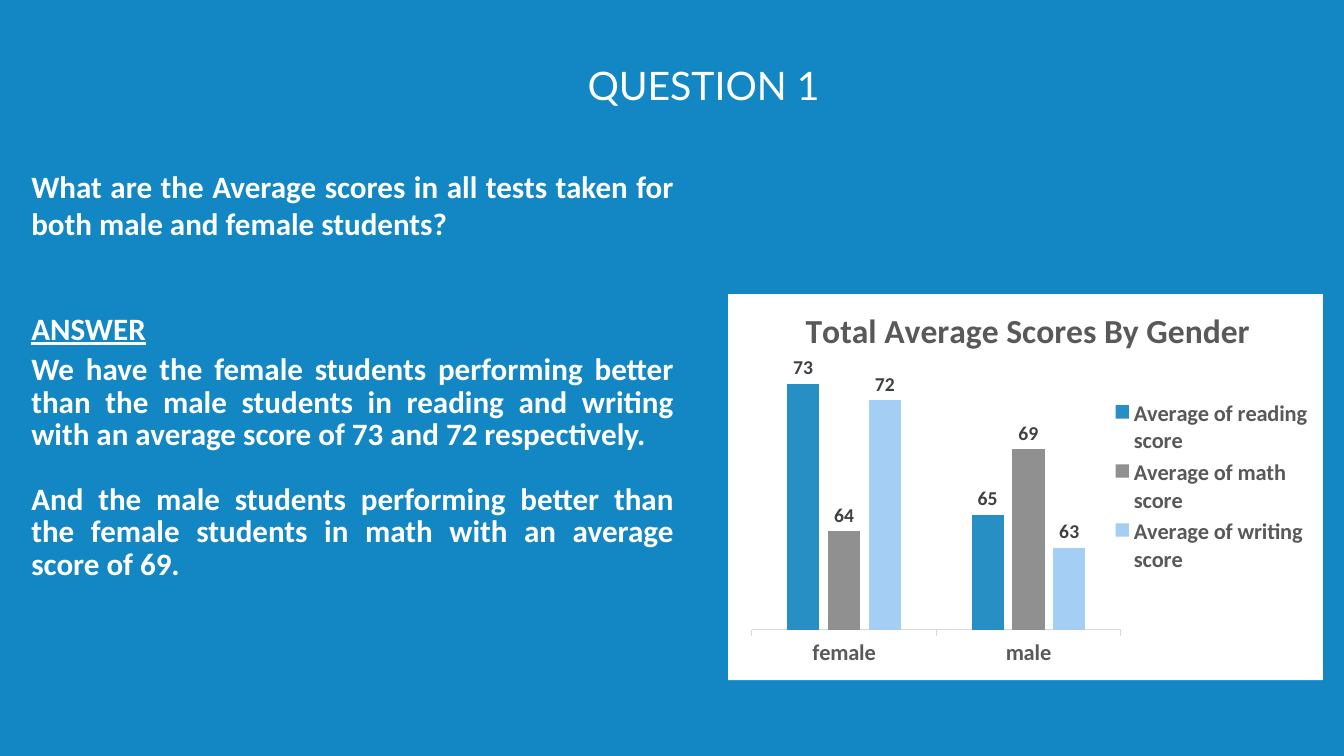
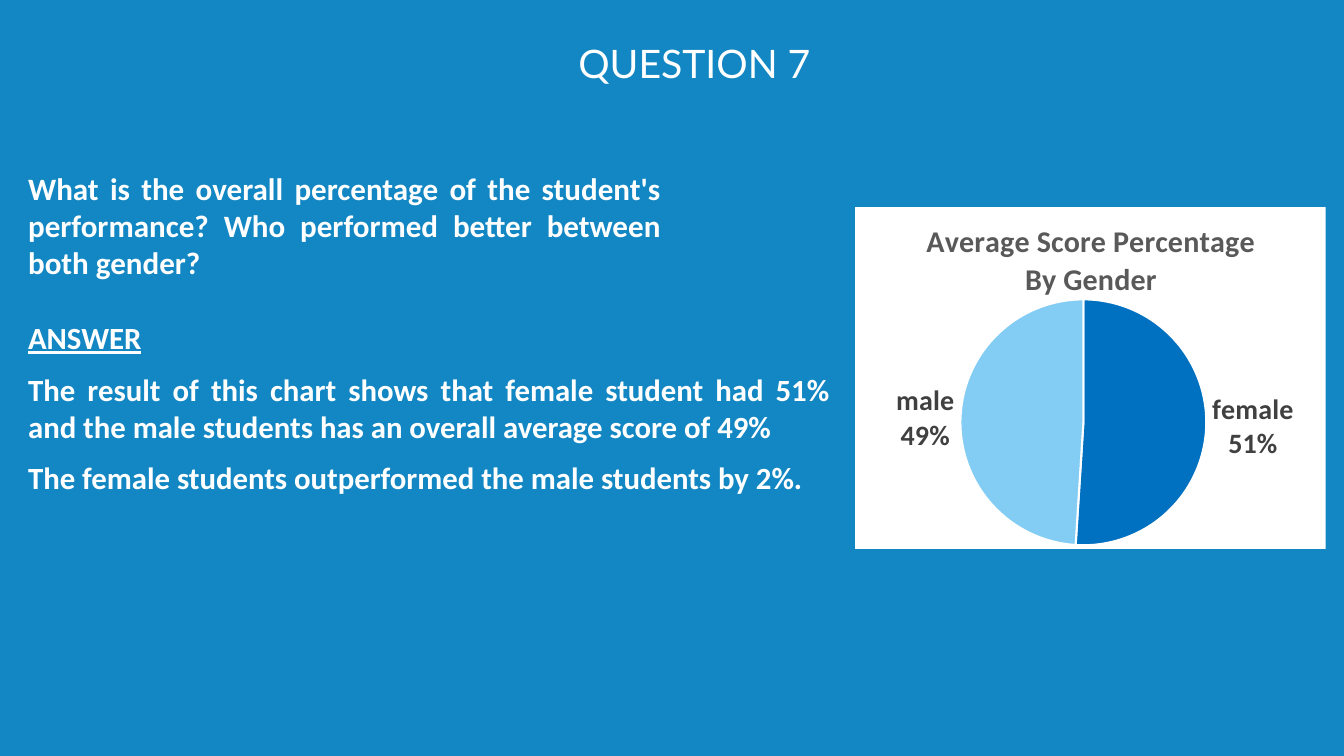
from dataclasses import dataclass

from lxml.etree import SubElement
from pptx import Presentation
from pptx.chart.data import CategoryChartData
from pptx.dml.color import RGBColor
from pptx.enum.chart import XL_CHART_TYPE as ChartType
from pptx.enum.chart import XL_LABEL_POSITION as LabelPos
from pptx.enum.chart import XL_LEGEND_POSITION as LegendPos
from pptx.enum.chart import XL_TICK_LABEL_POSITION as TickLabelPos
from pptx.enum.chart import XL_TICK_MARK as TickMark
from pptx.enum.text import MSO_ANCHOR as Anchor
from pptx.enum.text import PP_ALIGN as Align
from pptx.oxml.ns import qn
from pptx.util import Cm, Pt

COLORS = {
    "background": "1287C3",
    "white": "FFFFFF",
    "chart_text": "595959",
    "label": "404040",
    "axis": "D9D9D9",
    "reading": "288FC4",
    "math": "909090",
    "writing": "A4CEF3",
    "female": "0070C0",
    "male": "83CDF4",
}
TITLE_FONT, BODY_FONT = "Lato", "Calibri"
GENDERS = ("female", "male")


@dataclass
class Passage:
    text: str
    before: float = 0
    line_spacing: float = 1
    underline: bool = False


def rgb(name):
    return RGBColor.from_string(COLORS[name])


def paint(fill, name):
    fill.solid()
    fill.fore_color.rgb = rgb(name)


def set_font(font, size, color, bold=True, face=BODY_FONT):
    font.name, font.size, font.bold = face, Pt(size), bold
    font.color.rgb = rgb(color)


def add_text_frame(slide, box, anchor=Anchor.TOP):
    frame = slide.shapes.add_textbox(*map(Cm, box)).text_frame
    frame.word_wrap = True
    frame.vertical_anchor = anchor
    frame.margin_left = frame.margin_right = 0
    frame.margin_top = frame.margin_bottom = 0
    return frame


def add_question_slide(prs, title, left, top):
    slide = prs.slides.add_slide(prs.slide_layouts[6])
    paint(slide.background.fill, "background")
    heading = add_text_frame(slide, (left, top, 27.84, 1.68), Anchor.MIDDLE).paragraphs[0]
    heading.text = title
    heading.alignment = Align.CENTER
    set_font(heading.font, 28, "white", bold=False, face=TITLE_FONT)
    return slide


def add_passages(slide, box, size, passages):
    frame = add_text_frame(slide, box)
    for i, passage in enumerate(passages):
        paragraph = frame.add_paragraph() if i else frame.paragraphs[0]
        paragraph.text = passage.text
        paragraph.alignment = Align.JUSTIFY
        paragraph.space_before = Pt(passage.before)
        paragraph.line_spacing = passage.line_spacing
        set_font(paragraph.font, size, "white")
        paragraph.font.underline = passage.underline


def place_part(part, index, **fractions):
    """Fix a chart part's place, as fractions of the chart's size."""
    for old in part.findall(qn("c:layout")):
        part.remove(old)
    layout = SubElement(part, qn("c:layout"))
    part.insert(index, layout)
    manual = SubElement(layout, qn("c:manualLayout"))
    settings = {"xMode": "edge", "yMode": "edge", **fractions}
    if "w" in fractions:
        settings = {"layoutTarget": "inner", **settings}
    for tag, value in settings.items():
        SubElement(manual, qn(f"c:{tag}")).set("val", str(value))


def add_score_chart(slide, kind, box, title, title_size, title_at, plot_box, scores):
    """Add a titled chart on a white panel; scores maps series names to values."""
    data = CategoryChartData(number_format="0")
    data.categories = GENDERS
    for name, values in scores.items():
        data.add_series(name, values)
    chart = slide.shapes.add_chart(kind, *map(Cm, box), data).chart
    set_font(chart.font, 10, "chart_text")

    heading = chart.chart_title.text_frame.paragraphs[0]
    heading.text = title
    set_font(heading.font, title_size, "chart_text")
    place_part(chart.chart_title._element, 1, **dict(zip("xy", title_at)))

    space = chart._chartSpace
    chart_part = space.find(qn("c:chart"))
    place_part(chart_part.find(qn("c:plotArea")), 0, **dict(zip("xywh", plot_box)))
    panel = space.makeelement(qn("c:spPr"))
    chart_part.addnext(panel)
    fill = SubElement(panel, qn("a:solidFill"))
    SubElement(fill, qn("a:srgbClr")).set("val", COLORS["white"])
    SubElement(SubElement(panel, qn("a:ln")), qn("a:noFill"))
    return chart


def label_series(series, size, number_format):
    labels = series.data_labels
    set_font(labels.font, size, "label")
    labels.number_format, labels.number_format_is_linked = number_format, False
    labels.position = LabelPos.OUTSIDE_END
    return labels


def add_average_columns(slide, box):
    chart = add_score_chart(
        slide, ChartType.COLUMN_CLUSTERED, box,
        "Total Average Scores By Gender", 24, (0.12, 0.02),
        (0.04, 0.19, 0.62, 0.68),
        {
            "Average of reading score": (73, 65),
            "Average of math score": (64, 69),
            "Average of writing score": (72, 63),
        },
    )
    plot = chart.plots[0]
    plot.gap_width, plot.overlap, plot.vary_by_categories = 219, -27, False
    for series, color in zip(plot.series, ("reading", "math", "writing")):
        paint(series.format.fill, color)
        label_series(series, 14, "0").show_value = True

    scores = chart.value_axis
    scores.minimum_scale, scores.maximum_scale = 58, 74
    scores.has_major_gridlines = False
    scores.visible = False

    genders = chart.category_axis
    genders.major_tick_mark = TickMark.OUTSIDE
    genders.tick_label_position = TickLabelPos.LOW
    genders.format.line.color.rgb = rgb("axis")
    genders.format.line.width = Pt(0.75)
    set_font(genders.tick_labels.font, 16, "chart_text")

    chart.has_legend = True
    chart.legend.position = LegendPos.RIGHT
    chart.legend.include_in_layout = False
    set_font(chart.legend.font, 16, "chart_text")


def add_share_pie(slide, box):
    chart = add_score_chart(
        slide, ChartType.PIE, box,
        "Average Score Percentage By Gender", 21.5, (0.14, 0.02),
        (0.06, 0.27, 0.85, 0.72),
        {"Series 1": (51, 49)},
    )
    chart.has_legend = False
    shares = chart.plots[0].series[0]
    for i, gender in enumerate(GENDERS):
        slice_format = shares.points[i].format
        paint(slice_format.fill, gender)
        slice_format.line.color.rgb = rgb("white")
        slice_format.line.width = Pt(1.5)
    labels = label_series(shares, 20, "0%")
    labels.show_value = False
    labels.show_category_name = labels.show_percentage = True
    last_flag = labels._element.find(qn("c:showBubbleSize"))
    separator = last_flag.makeelement(qn("c:separator"))
    separator.text = "\n"
    last_flag.addnext(separator)


def build_average_scores(prs):
    slide = add_question_slide(prs, "QUESTION 1", 3.81, 1.3)
    add_passages(slide, (0.79, 4.22, 16.2, 10.6), 22.2, [
        Passage("What are the Average scores in all tests taken for both male and female students?"),
        Passage("ANSWER", before=48, underline=True),
        Passage("We have the female students performing better than the male students in reading "
                "and writing with an average score of 73 and 72 respectively.",
                before=6, line_spacing=0.87),
        Passage("And the male students performing better than the female students in math "
                "with an average score of 69.", before=23, line_spacing=0.87),
    ])
    add_average_columns(slide, (18.35, 7.41, 14.99, 9.73))


def build_overall_share(prs):
    slide = add_question_slide(prs, "QUESTION 7", 3.58, 0.74)
    add_passages(slide, (0.71, 4.26, 15.95, 3), 22.2, [
        Passage("What is the overall percentage of the student's performance? "
                "Who performed better between both gender?"),
    ])
    add_passages(slide, (0.71, 8.04, 20.2, 4.6), 22, [
        Passage("ANSWER", underline=True),
        Passage("The result of this chart shows that female student had 51% and the male "
                "students has an overall average score of 49%", before=10.3),
        Passage("The female students outperformed the male students by 2%.", before=10.3),
    ])
    add_share_pie(slide, (21.55, 5.22, 11.86, 8.61))


def main():
    prs = Presentation()
    prs.slide_width, prs.slide_height = Cm(33.87), Cm(19.05)
    build_average_scores(prs)
    build_overall_share(prs)
    prs.save("out.pptx")


if __name__ == "__main__":
    main()
